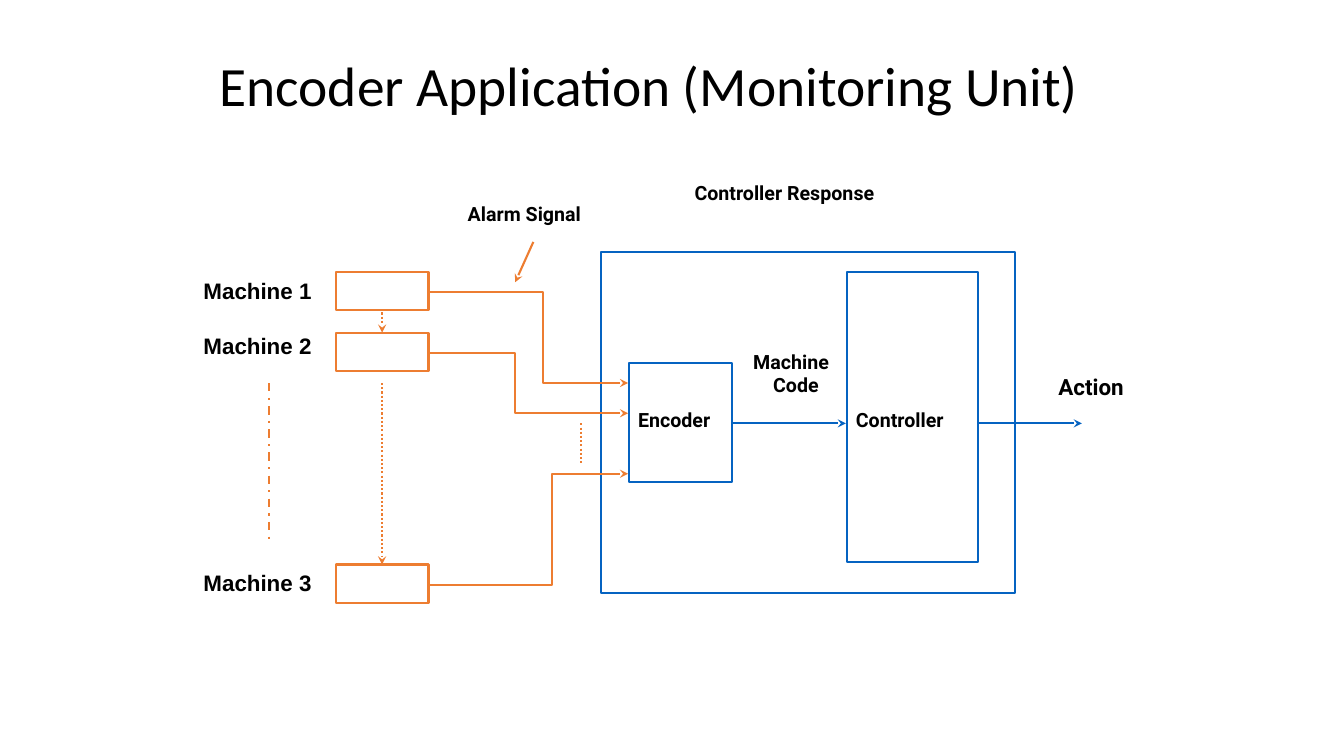
import pptx
import pptx.dml.color
import pptx.enum.dml
import pptx.enum.shapes
import pptx.enum.text
import pptx.oxml.ns
import pptx.util
from lxml import etree

Inches = pptx.util.Inches
Pt = pptx.util.Pt
ALIGN = pptx.enum.text.PP_ALIGN
ANCHOR = pptx.enum.text.MSO_ANCHOR
DASH = pptx.enum.dml.MSO_LINE
qn = pptx.oxml.ns.qn
BLACK, BLUE, ORANGE = "000000", "0563C1", "ED7D31"

presentation = pptx.Presentation()
presentation.slide_width = Inches(13.33)
presentation.slide_height = Inches(7.5)
slide = presentation.slides.add_slide(presentation.slide_layouts[6])


def color(value):
    return pptx.dml.color.RGBColor.from_string(value)


def add_text(text, left, top, width, height, size=14, font="Roboto", bold=True,
             align=ALIGN.LEFT, anchor=ANCHOR.TOP, spacing=1.0):
    box = slide.shapes.add_textbox(Inches(left), Inches(top), Inches(width), Inches(height))
    frame = box.text_frame
    frame.word_wrap = True
    frame.vertical_anchor = anchor
    paragraph = frame.paragraphs[0]
    paragraph.text = text
    paragraph.alignment = align
    paragraph.line_spacing = spacing
    paragraph.font.size = Pt(size)
    paragraph.font.name = font
    paragraph.font.bold = bold
    paragraph.font.color.rgb = color(BLACK)


# Title
add_text("Encoder Application (Monitoring Unit)", 2.08, 0.25, 9.25, 1.25, size=39.6,
         font="Calibri", bold=False, anchor=ANCHOR.MIDDLE, spacing=0.9)

# Controller unit, encoder, controller and the three machines
boxes = [
    (5.96, 2.5, 4.11, 3.38, BLUE),
    (6.24, 3.6, 1.02, 1.18, BLUE),
    (8.4, 2.7, 1.3, 2.88, BLUE),
]
boxes += [(3.33, top, 0.92, 0.38, ORANGE) for top in (2.7, 3.3, 5.6)]
for left, top, width, height, line_color in boxes:
    shape = slide.shapes.add_shape(pptx.enum.shapes.MSO_SHAPE.RECTANGLE, Inches(left),
                                   Inches(top), Inches(width), Inches(height))
    shape.shadow.inherit = False
    shape.fill.background()
    shape.line.color.rgb = color(line_color)
    shape.line.width = Pt(1.5)

# Signal paths: points, colour, dash, arrowhead
routes = [
    ([(7.27, 4.2), (8.39, 4.2)], BLUE, None, True),
    ([(9.7, 4.2), (10.73, 4.2)], BLUE, None, True),
    ([(5.29, 2.4), (5.11, 2.8)], ORANGE, None, True),
    ([(3.79, 3.1), (3.79, 3.3)], ORANGE, DASH.ROUND_DOT, True),
    ([(3.79, 3.8), (3.79, 5.6)], ORANGE, DASH.ROUND_DOT, True),
    ([(5.76, 4.2), (5.76, 4.6)], ORANGE, DASH.ROUND_DOT, False),
    ([(2.67, 3.8), (2.67, 5.4)], ORANGE, DASH.DASH_DOT, False),
]
for machine_y, bend_x, encoder_y in [(2.9, 5.39, 3.8), (3.5, 5.11, 4.1), (5.8, 5.48, 4.7)]:
    points = [(4.26, machine_y), (bend_x, machine_y), (bend_x, encoder_y), (6.23, encoder_y)]
    routes.append((points, ORANGE, None, True))

for points, line_color, dash, has_arrow in routes:
    start, *others = [(Inches(x), Inches(y)) for x, y in points]
    if len(others) == 1:
        route = slide.shapes.add_connector(pptx.enum.shapes.MSO_CONNECTOR.STRAIGHT,
                                           *start, *others[0])
    else:
        builder = slide.shapes.build_freeform(*start)
        builder.add_line_segments(others, close=False)
        route = builder.convert_to_shape()
        route.fill.background()
    route.line.color.rgb = color(line_color)
    route.line.width = Pt(1.5)
    if dash is not None:
        route.line.dash_style = dash
    properties = route._element.spPr
    if has_arrow:
        etree.SubElement(properties.find(qn("a:ln")), qn("a:tailEnd"), type="stealth")
    etree.SubElement(properties, qn("a:effectLst"))

# Labels
for number, top in enumerate((2.7, 3.25, 5.6), start=1):
    add_text(f"Machine {number}", 1.92, top, 1.5, 0.44, size=16, font="Arial")
add_text("Alarm Signal", 4.54, 1.95, 1.69, 0.34)
add_text("Controller Response", 6.79, 1.75, 2.72, 0.34)
add_text("Encoder", 6.23, 4, 1.31, 0.34)
add_text("Machine \v Code", 7.26, 3.42, 1.22, 0.69, align=ALIGN.CENTER)
add_text("Controller", 8.39, 4, 1.59, 0.4)
add_text("Action", 10.4, 3.65, 1.03, 0.44, size=16)

presentation.save("out.pptx")
